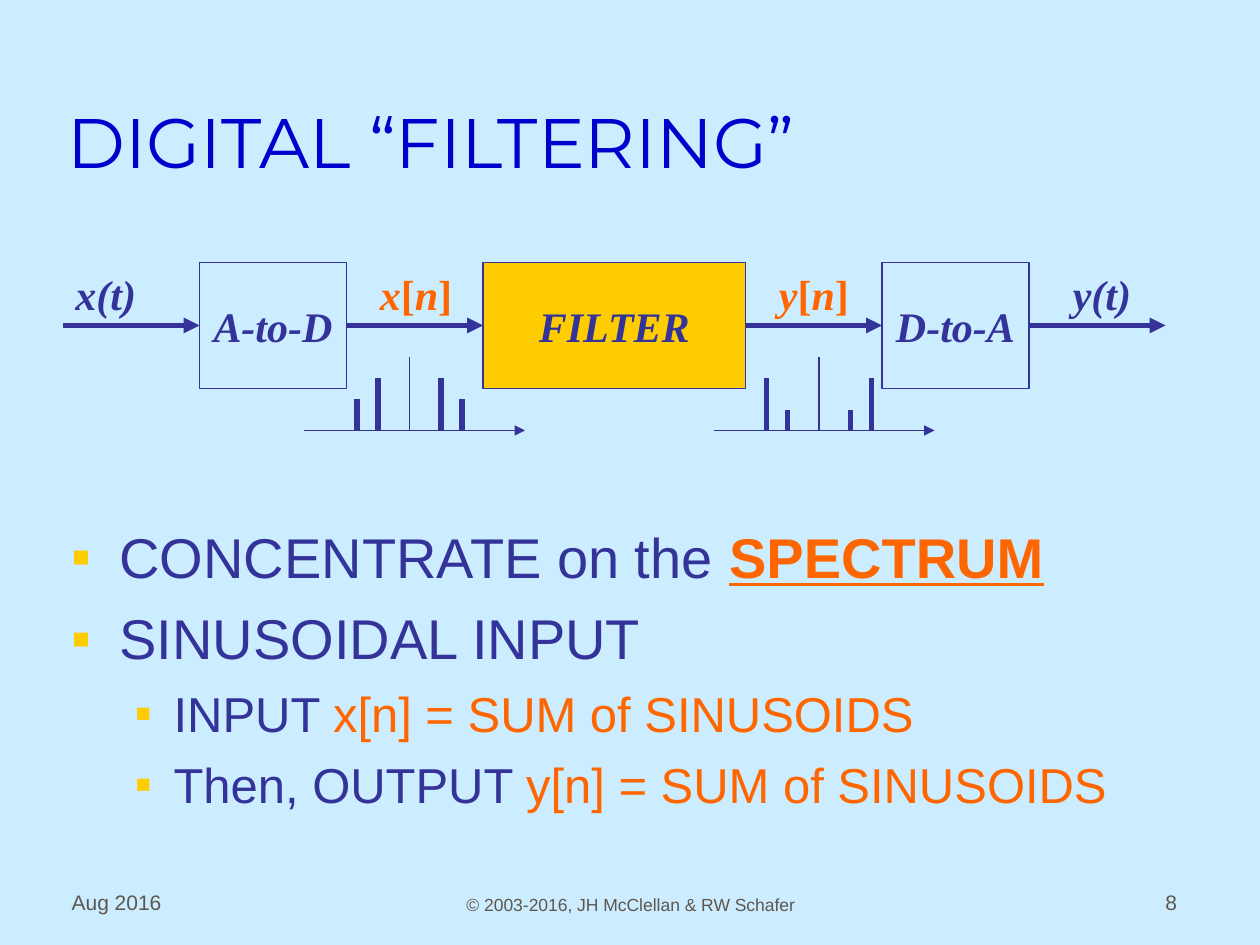
from lxml import etree
from pptx import Presentation, util as u
from pptx.dml.color import RGBColor
from pptx.enum import shapes, text
from pptx.oxml.ns import qn

NAVY, ORANGE, GOLD, SKY = "333399", "FF6600", "FFCC00", "CCECFF"
TITLE_BLUE, GREY = "0000CC", "5E574E"
SERIF = dict(font="Times New Roman", size=24, bold=True, italic=True)
CELL = u.Inches(1) / 12  # the diagram sits on a grid of 1/12 inch
TOP, MIDDLE, BOX_ROWS, AXIS = 25, 31, 12, 41


def colour(value):
    return RGBColor.from_string(value)


def grid(*cells):
    return [round(cell * CELL) for cell in cells]


def inches(*lengths):
    return [u.Inches(length) for length in lengths]


def add_run(paragraph, content, font="Arial", size=12, color=NAVY,
            bold=False, italic=False, underline=False):
    run = paragraph.add_run()
    run.text = content
    run.font.name, run.font.size = font, u.Pt(size)
    run.font.bold, run.font.italic, run.font.underline = bold, italic, underline
    run.font.color.rgb = colour(color)


def add_text(slide, place, content, align=text.PP_ALIGN.LEFT,
             anchor=text.MSO_ANCHOR.TOP, wrap=True, **style):
    """Add a text box; content is a list of (text, style changes) or a string."""
    frame = slide.shapes.add_textbox(*place).text_frame
    frame.word_wrap, frame.vertical_anchor = wrap, anchor
    paragraph = frame.paragraphs[0]
    paragraph.alignment = align
    pieces = [(content, {})] if isinstance(content, str) else content
    for piece, changes in pieces:
        add_run(paragraph, piece, **{**style, **changes})
    return frame


def add_block(slide, label, column, columns, fill):
    block = slide.shapes.add_shape(shapes.MSO_SHAPE.RECTANGLE,
                                   *grid(column, TOP, columns, BOX_ROWS))
    block.shadow.inherit = False
    block.fill.solid()
    block.fill.fore_color.rgb = colour(fill)
    block.line.color.rgb, block.line.width = colour(NAVY), u.Pt(0.75)
    frame = block.text_frame
    frame.word_wrap, frame.vertical_anchor = False, text.MSO_ANCHOR.MIDDLE
    frame.paragraphs[0].alignment = text.PP_ALIGN.CENTER
    add_run(frame.paragraphs[0], label, **SERIF)
    return block


def add_line(slide, start, end, width=3, arrow=False):
    line = slide.shapes.add_connector(shapes.MSO_CONNECTOR.STRAIGHT,
                                      *grid(*start, *end))
    line.line.color.rgb, line.line.width = colour(NAVY), u.Pt(width)
    if arrow:
        outline = line.line._get_or_add_ln()
        etree.SubElement(outline, qn("a:tailEnd"), type="triangle")
    etree.SubElement(line._element.spPr, qn("a:effectLst"))
    return line


def add_spectrum(slide, centre, stems):
    """Draw a symmetric line spectrum; stems are (offset, height) in cells."""
    add_line(slide, (centre - 10, AXIS), (centre + 11, AXIS), 0.75, arrow=True)
    add_line(slide, (centre, AXIS), (centre, AXIS - 7), 0.75)
    for offset, height in stems:
        for column in (centre + offset, centre - offset):
            add_line(slide, (column, AXIS), (column, AXIS - height))


def add_bullet(paragraph, level, pieces):
    margin, hanging, size = [(0.38, 0.38, 32), (0.81, 0.31, 28)][level]
    paragraph.level = level
    properties = paragraph._p.get_or_add_pPr()
    properties.set("marL", str(u.Inches(margin)))
    properties.set("indent", str(-u.Inches(hanging)))
    bullet_colour = etree.SubElement(properties, qn("a:buClr"))
    etree.SubElement(bullet_colour, qn("a:srgbClr"), val=GOLD)
    etree.SubElement(properties, qn("a:buFont"), typeface="Arial")
    etree.SubElement(properties, qn("a:buChar"), char="▪")
    for content, changes in pieces:
        add_run(paragraph, content, size=size, **changes)


def add_diagram(slide):
    # Blocks and the arrows through them
    blocks = [add_block(slide, "A-to-D", 19, 14, SKY),
              add_block(slide, "FILTER", 46, 25, GOLD),
              add_block(slide, "D-to-A", 84, 14, SKY)]
    arrows = [add_line(slide, (column, MIDDLE), (column + 13, MIDDLE), arrow=True)
              for column in (6, 33, 71, 98)]
    for block, arrow_in, arrow_out in zip(blocks, arrows, arrows[1:]):
        arrow_in.end_connect(block, 1)
        arrow_out.begin_connect(block, 3)

    # Signal names: continuous outside, sampled inside
    for name, column, width in (("x(t)", 6, 0.68), ("y(t)", 101, 0.66)):
        place = grid(column, TOP) + inches(width, 0.5)
        add_text(slide, place, name, wrap=False, **SERIF)
    upright = dict(italic=False)
    for name, column, width in (("x", 35, 0.78), ("y", 73, 0.76)):
        pieces = [(name, {}), ("[", upright), ("n", {}), ("]", upright)]
        place = grid(column, TOP) + inches(width, 0.5)
        add_text(slide, place, pieces, wrap=False, color=ORANGE, **SERIF)

    # Spectra of input and output
    add_spectrum(slide, 39, [(3, 5), (5, 3)])
    add_spectrum(slide, 78, [(3, 2), (5, 5)])


def add_body(slide):
    orange = dict(color=ORANGE)
    strong = dict(color=ORANGE, bold=True, underline=True)
    bullets = [
        (0, [("CONCENTRATE on the ", {}), ("SPECTRUM", strong)]),
        (0, [("SINUSOIDAL INPUT", {})]),
        (1, [("INPUT ", {}), ("x[n] = SUM of SINUSOIDS", orange)]),
        (1, [("Then, OUTPUT ", {}), ("y[n] = SUM of SINUSOIDS", orange)]),
    ]
    frame = add_text(slide, inches(0.47, 4.1, 8.94, 2.6), [])
    for index, (level, pieces) in enumerate(bullets):
        paragraph = frame.add_paragraph() if index else frame.paragraphs[0]
        if index:
            paragraph.space_before = u.Pt(7 if level else 8)
        add_bullet(paragraph, level, pieces)


def add_footer(slide):
    align = text.PP_ALIGN
    for content, left, width, side, size in (
            ("Aug 2016", 0.47, 2.08, align.LEFT, 12),
            ("© 2003-2016, JH McClellan & RW Schafer", 3.42, 3.17, align.CENTER, 10),
            ("8", 7.36, 2.08, align.RIGHT, 12)):
        add_text(slide, inches(left, 6.81, width, 0.5), content, align=side,
                 anchor=text.MSO_ANCHOR.BOTTOM, size=size, color=GREY)


def main():
    presentation = Presentation()
    presentation.slide_width, presentation.slide_height = inches(10, 7.5)
    slide = presentation.slides.add_slide(presentation.slide_layouts[6])
    slide.background.fill.solid()
    slide.background.fill.fore_color.rgb = colour(SKY)

    add_text(slide, inches(0.44, 0.25, 8.5, 1.25), "DIGITAL “FILTERING”",
             anchor=text.MSO_ANCHOR.BOTTOM, font="Montserrat", size=40,
             color=TITLE_BLUE)
    add_diagram(slide)
    add_body(slide)
    add_footer(slide)
    presentation.save("out.pptx")


if __name__ == "__main__":
    main()
